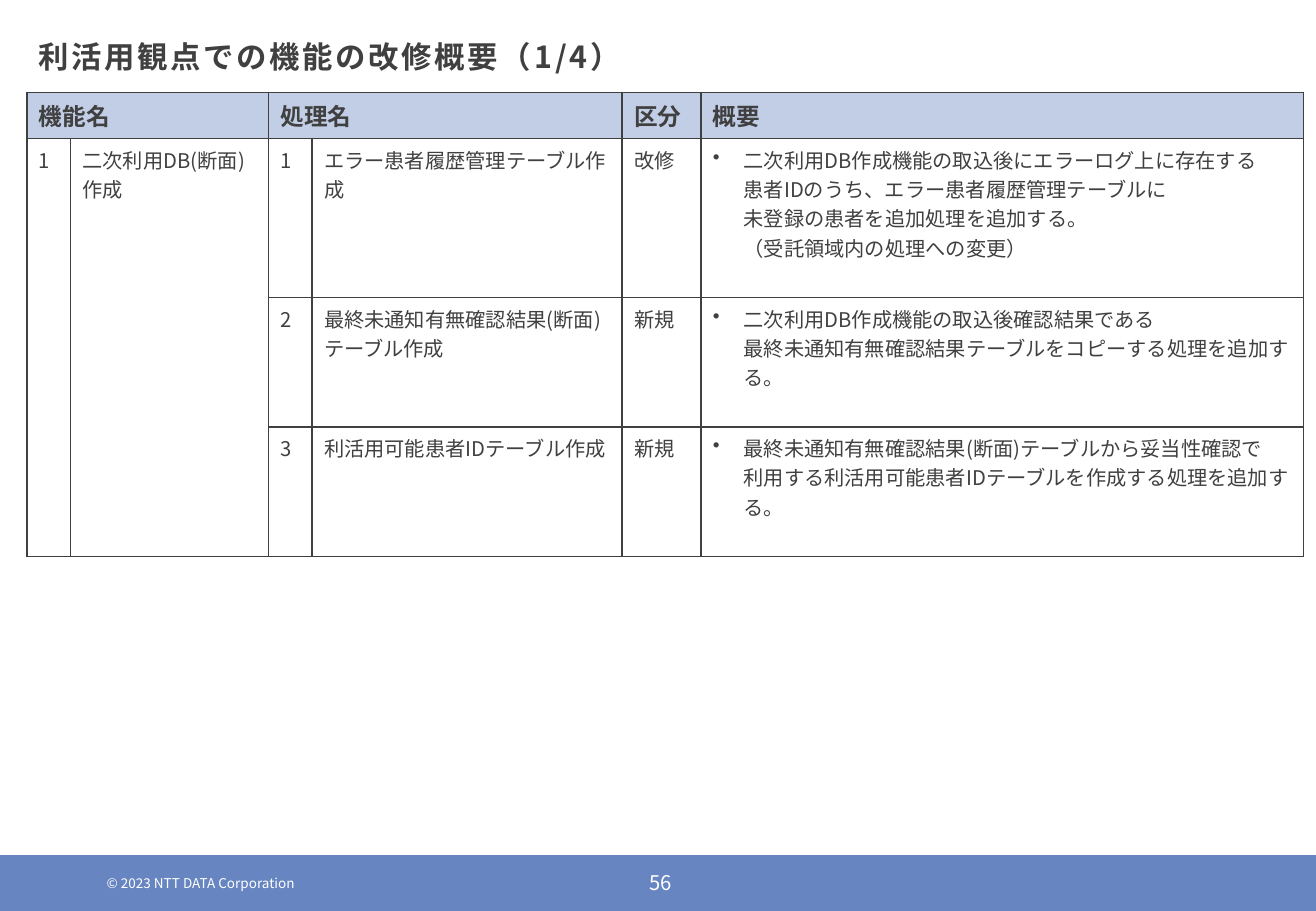
import pptx
import pptx.util
import pptx.dml.color
import pptx.enum.shapes
import pptx.enum.text
import pptx.oxml.ns
from lxml import etree

Cm, Pt = pptx.util.Cm, pptx.util.Pt
ALIGN = pptx.enum.text.PP_ALIGN
ANCHOR = pptx.enum.text.MSO_ANCHOR

TITLE = "利活用観点での機能の改修概要（1/4）"
RIGHTS = "© 2023 NTT DATA Corporation"
PAGE = "56"
HEADS = {0: "機能名", 2: "処理名", 4: "区分", 5: "概要"}
GROUP = ("1", "二次利用DB(断面)\n作成")
TASKS = [
    ("1", "エラー患者履歴管理テーブル作成", "改修",
     "二次利用DB作成機能の取込後にエラーログ上に存在する\n"
     "患者IDのうち、エラー患者履歴管理テーブルに\n"
     "未登録の患者を追加処理を追加する。\n"
     "（受託領域内の処理への変更）"),
    ("2", "最終未通知有無確認結果(断面)\nテーブル作成", "新規",
     "二次利用DB作成機能の取込後確認結果である\n"
     "最終未通知有無確認結果テーブルをコピーする処理を追加する。"),
    ("3", "利活用可能患者IDテーブル作成", "新規",
     "最終未通知有無確認結果(断面)テーブルから妥当性確認で\n"
     "利用する利活用可能患者IDテーブルを作成する処理を追加する。"),
]
WIDTHS = [0.91, 4.14, 0.91, 6.48, 1.65, 12.6]
HEIGHTS = [0.97, 3.32, 2.71, 2.71]
MERGES = [((0, 0), (0, 1)), ((0, 2), (0, 3)), ((1, 0), (3, 0)), ((1, 1), (3, 1))]
COLORS = {"ink": "404040", "head": "C2CEE6", "foot": "6785C1", "white": "FFFFFF"}
FONT = "Noto Sans CJK JP"
WIDE, HIGH = 27.51, 19.05
BAR = 17.88


def rgb(name):
    return pptx.dml.color.RGBColor.from_string(COLORS[name])


def sub(node, tag, **attrs):
    return etree.SubElement(node, pptx.oxml.ns.qn("a:" + tag), attrs)


def write(para, text, size, color="ink", bold=False, gap=None):
    for i, line in enumerate(text.split("\n")):
        if i:
            para.add_line_break()
        run = para.add_run()
        run.text = line
        font = run.font
        font.name, font.size, font.bold = FONT, Pt(size), bold
        font.color.rgb = rgb(color)
        props = run._r.get_or_add_rPr()
        props.set("lang", "ja-JP")
        if gap:
            props.set("spc", str(gap))
        sub(props, "ea", typeface=FONT)


def label(slide, box, text, size, anchor, align=ALIGN.LEFT, **style):
    frame = slide.shapes.add_textbox(*map(Cm, box)).text_frame
    frame.word_wrap = True
    frame.margin_top = frame.margin_bottom = 0
    frame.vertical_anchor = anchor
    para = frame.paragraphs[0]
    para.alignment = align
    write(para, text, size, **style)


def edge(cell):
    props = cell._tc.get_or_add_tcPr()
    for side in "LRTB":
        line = sub(props, "ln" + side, w=str(Pt(1)))
        sub(sub(line, "solidFill"), "srgbClr", val=COLORS["ink"])


def bullet(para):
    props = para._p.get_or_add_pPr()
    props.set("marL", str(Cm(0.64)))
    props.set("indent", str(-Cm(0.64)))
    sub(props, "buChar", char="•")


def grid(slide):
    size = map(Cm, (0.56, 1.93, sum(WIDTHS), sum(HEIGHTS)))
    table = slide.shapes.add_table(len(HEIGHTS), len(WIDTHS), *size).table
    table.first_row = table.horz_banding = False
    for col, width in zip(table.columns, WIDTHS):
        col.width = Cm(width)
    for row, height in zip(table.rows, HEIGHTS):
        row.height = Cm(height)
    for start, end in MERGES:
        table.cell(*start).merge(table.cell(*end))

    texts = {(0, c): text for c, text in HEADS.items()}
    texts.update({(1, c): text for c, text in enumerate(GROUP)})
    for r, task in enumerate(TASKS, 1):
        texts.update({(r, c): text for c, text in enumerate(task, 2)})

    for r in range(len(HEIGHTS)):
        for c in range(len(WIDTHS)):
            cell = table.cell(r, c)
            edge(cell)
            if r == 0:
                cell.fill.solid()
                cell.fill.fore_color.rgb = rgb("head")
            else:
                cell.fill.background()
            if (r, c) in texts:
                para = cell.text_frame.paragraphs[0]
                if r and c == 5:
                    bullet(para)
                write(para, texts[r, c], 12 if r else 14, bold=r == 0)


def main():
    deck = pptx.Presentation()
    deck.slide_width, deck.slide_height = Cm(WIDE), Cm(HIGH)
    slide = deck.slides.add_slide(deck.slide_layouts[6])

    bar = slide.shapes.add_shape(
        pptx.enum.shapes.MSO_SHAPE.RECTANGLE,
        0, Cm(BAR), Cm(WIDE), Cm(HIGH - BAR))
    bar.shadow.inherit = False
    bar.fill.solid()
    bar.fill.fore_color.rgb = rgb("foot")
    bar.line.fill.background()

    label(slide, (1.98, 18.31, 8.74, 0.33), RIGHTS, 8, ANCHOR.MIDDLE, color="white")
    label(slide, (12.88, 18.19, 1.85, 0.51), PAGE, 12, ANCHOR.MIDDLE,
          ALIGN.CENTER, color="white")
    label(slide, (0.56, 0.79, 25.32, 1.1), TITLE, 18, ANCHOR.TOP, bold=True, gap=160)
    grid(slide)
    deck.save("out.pptx")


if __name__ == "__main__":
    main()
